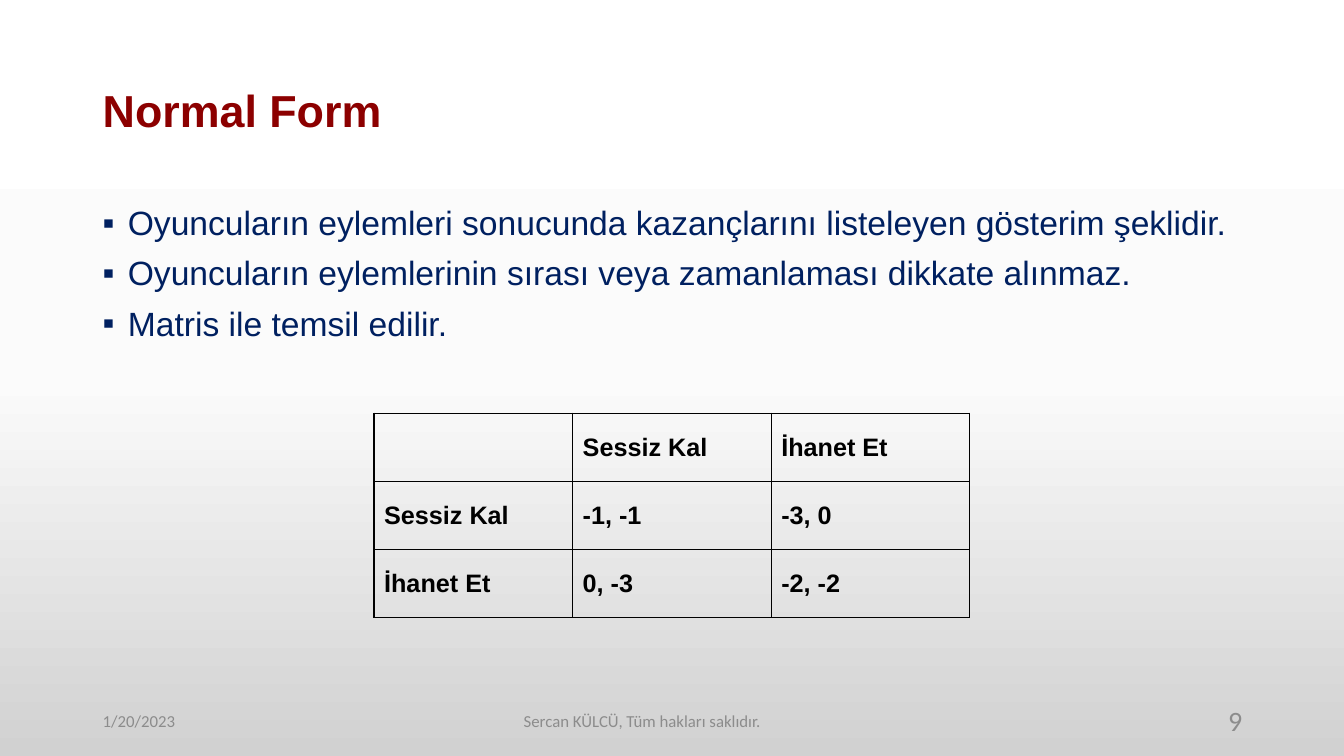
import copy
import pptx
import pptx.dml.color
import pptx.enum.text
import pptx.oxml
import pptx.oxml.ns
import pptx.util
from pptx.util import Inches

RED = pptx.dml.color.RGBColor(0x8C, 0x00, 0x00)
NAVY = pptx.dml.color.RGBColor(0x00, 0x20, 0x60)
GRAY = pptx.dml.color.RGBColor(0x8C, 0x8C, 0x8C)
BLACK = pptx.dml.color.RGBColor(0x00, 0x00, 0x00)
WHITE = pptx.dml.color.RGBColor(0xFF, 0xFF, 0xFF)
OFF_WHITE = pptx.dml.color.RGBColor(0xFB, 0xFB, 0xFB)
SILVER = pptx.dml.color.RGBColor(0xD1, 0xD1, 0xD1)
ALIGN = pptx.enum.text.PP_ALIGN
ANCHOR = pptx.enum.text.MSO_ANCHOR
NAMESPACE = pptx.oxml.ns.nsdecls("a")


def write_text(frame, text, size, color, font="Arial", bold=False, align=ALIGN.LEFT,
               anchor=ANCHOR.MIDDLE, line_spacing=1.0, space_before=0, bullet=None):
    frame.word_wrap = True
    frame.vertical_anchor = anchor
    for index, line in enumerate(text.split("\n")):
        paragraph = frame.add_paragraph() if index else frame.paragraphs[0]
        paragraph.alignment = align
        paragraph.line_spacing = line_spacing
        paragraph.space_before = pptx.util.Pt(space_before if index else 0)
        if bullet:
            properties = paragraph._p.get_or_add_pPr()
            properties.set("marL", str(Inches(0.25)))
            properties.set("indent", str(-Inches(0.25)))
            properties.append(pptx.oxml.parse_xml(f'<a:buFont {NAMESPACE} typeface="Arial"/>'))
            properties.append(pptx.oxml.parse_xml(f'<a:buChar {NAMESPACE} char="{bullet}"/>'))
        run = paragraph.add_run()
        run.text = line
        run.font.size = pptx.util.Pt(size)
        run.font.name = font
        run.font.bold = bold
        run.font.color.rgb = color


presentation = pptx.Presentation()
presentation.slide_width = Inches(13.33)
presentation.slide_height = Inches(7.5)
slide = presentation.slides.add_slide(presentation.slide_layouts[6])

background = slide.background.fill
background.gradient()
background.gradient_angle = 270
last_stop = background.gradient_stops[1]._gs
last_stop.addnext(copy.deepcopy(last_stop))
for stop, position, color in zip(background.gradient_stops, (0, 0.5, 1), (WHITE, OFF_WHITE, SILVER)):
    stop.position = position
    stop.color.rgb = color

title = slide.shapes.add_textbox(Inches(0.92), Inches(0.4), Inches(11.5), Inches(1.45))
write_text(title.text_frame, "Normal Form", 32, RED, bold=True, line_spacing=0.9)

body = slide.shapes.add_textbox(Inches(0.92), Inches(2), Inches(11.5), Inches(4.76))
write_text(
    body.text_frame,
    "Oyuncuların eylemleri sonucunda kazançlarını listeleyen gösterim şeklidir.\n"
    "Oyuncuların eylemlerinin sırası veya zamanlaması dikkate alınmaz.\n"
    "Matris ile temsil edilir.",
    24, NAVY, align=ALIGN.JUSTIFY, anchor=ANCHOR.TOP,
    line_spacing=0.9, space_before=10, bullet="▪")

footers = [
    ("1/20/2023", 0.92, 3, 12, ALIGN.LEFT),
    ("Sercan KÜLCÜ, Tüm hakları saklıdır.", 2.58, 7.58, 12, ALIGN.CENTER),
    ("9", 9.42, 3, 20, ALIGN.RIGHT),
]
for text, left, width, size, align in footers:
    footer = slide.shapes.add_textbox(Inches(left), Inches(6.95), Inches(width), Inches(0.4))
    write_text(footer.text_frame, text, size, GRAY, font="Calibri", align=align)

payoffs = [
    ["", "Sessiz Kal", "İhanet Et"],
    ["Sessiz Kal", "-1, -1", "-3, 0"],
    ["İhanet Et", "0, -3", "-2, -2"],
]
table = slide.shapes.add_table(
    3, 3, Inches(3.71), Inches(4.1), Inches(5.91), Inches(2.03)).table
table.first_row = False
table.horz_banding = False
for row_index, row in enumerate(payoffs):
    for column_index, text in enumerate(row):
        cell = table.cell(row_index, column_index)
        cell.vertical_anchor = ANCHOR.MIDDLE
        if text:
            write_text(cell.text_frame, text, 18, BLACK, bold=True)
            cell.vertical_anchor = ANCHOR.MIDDLE
        properties = cell._tc.get_or_add_tcPr()
        for side in ("lnL", "lnR", "lnT", "lnB"):
            properties.append(pptx.oxml.parse_xml(
                f'<a:{side} {NAMESPACE} w="{pptx.util.Pt(1)}"><a:solidFill>'
                f'<a:srgbClr val="{BLACK}"/></a:solidFill></a:{side}>'))
        cell.fill.background()

presentation.save("out.pptx")
